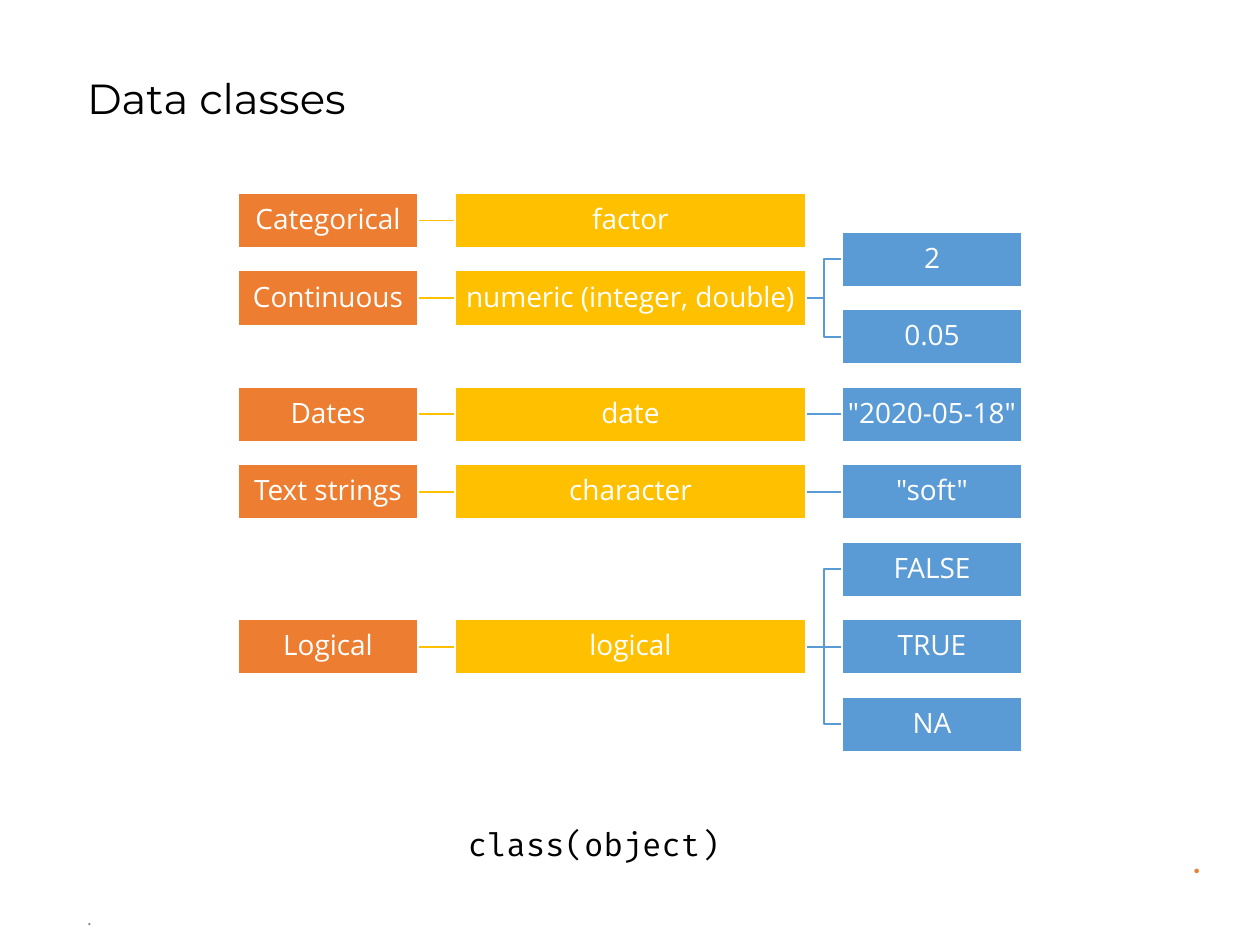
from lxml import etree
from pptx import Presentation
from pptx import util as u
from pptx.dml.color import RGBColor
from pptx.enum import shapes, text
from pptx.oxml.ns import qn

PX = u.Inches(1) / 126
COLORS = {"kind": "ED7D31", "class": "FFC000", "example": "5B9BD5",
          "white": "FFFFFF", "black": "000000", "grey": "808080"}

TITLE = "Data classes"
CLASSES = [
    ("Categorical", "factor", []),
    ("Continuous", "numeric (integer, double)", ["2", "0.05"]),
    ("Dates", "date", ['"2020-05-18"']),
    ("Text strings", "character", ['"soft"']),
    ("Logical", "logical", ["FALSE", "TRUE", "NA"]),
]
# text, box (left, top, width, height), format
NOTES = [
    (".", (74, 902, 1138, 34), dict(size=10, font="Open Sans", color="grey")),
    (".", (805, 723, 407, 165), dict(
        size=24, font="Montserrat", color="kind", italic=True, spacing=0.9,
        align=text.PP_ALIGN.RIGHT, anchor=text.MSO_ANCHOR.BOTTOM, insets=(9, 5))),
    ("class(object)", (455, 819, 281, 50), dict(size=18, font="Fira Code", color="black")),
]
COLUMNS = {"kind": (238, 180), "class": (455, 351), "example": (842, 180)}  # left, width
TOP, BOX_HEIGHT, HALF_ROW = 193, 55, 38.75
LEFT_SITE, RIGHT_SITE = 1, 3


def emu(*lengths):
    return [u.Emu(round(length * PX)) for length in lengths]


def rgb(name):
    return RGBColor.from_string(COLORS[name])


def write(shape, words, size, font, color, italic=False, spacing=1.0,
          align=text.PP_ALIGN.LEFT, anchor=text.MSO_ANCHOR.TOP, insets=(13, 6)):
    frame = shape.text_frame
    frame.text = words
    across, down = emu(*insets)
    paragraph = frame.paragraphs[0]
    formats = [
        (frame, dict(word_wrap=True, auto_size=text.MSO_AUTO_SIZE.NONE,
                     vertical_anchor=anchor, margin_left=across, margin_right=across,
                     margin_top=down, margin_bottom=down)),
        (paragraph, dict(alignment=align, line_spacing=spacing)),
        (paragraph.runs[0].font, dict(size=u.Pt(size), name=font, italic=italic)),
    ]
    for target, values in formats:
        for name, value in values.items():
            setattr(target, name, value)
    paragraph.runs[0].font.color.rgb = rgb(color)


def add_box(slide, words, column, slot):
    left, width = COLUMNS[column]
    box = slide.shapes.add_shape(
        shapes.MSO_SHAPE.RECTANGLE, *emu(left, TOP + slot * HALF_ROW, width, BOX_HEIGHT))
    box.shadow.inherit = False
    box.fill.solid()
    box.fill.fore_color.rgb = rgb(column)
    box.line.color.rgb = rgb("white")
    box.line.width = u.Pt(1)
    write(box, words, 16, "Open Sans", "white", spacing=0.9,
          align=text.PP_ALIGN.CENTER, anchor=text.MSO_ANCHOR.MIDDLE, insets=(1, 1))
    return box


def join(slide, parent, child, color):
    """Glue a line between two boxes and send it behind them."""
    kind = (shapes.MSO_CONNECTOR.STRAIGHT if parent.top == child.top
            else shapes.MSO_CONNECTOR.ELBOW)
    line = slide.shapes.add_connector(kind, 0, 0, 0, 0)
    line.begin_connect(parent, RIGHT_SITE)
    line.end_connect(child, LEFT_SITE)
    line.line.color.rgb = rgb(color)
    line.line.width = u.Pt(1)
    etree.SubElement(line._element.spPr, qn("a:effectLst"))
    slide.shapes._spTree.insert(2, line._element)


def add_tree(slide):
    """Examples take every second slot; each class is centred on its examples."""
    next_slot = 1
    for kind, class_name, examples in CLASSES:
        slots = [next_slot + 2 * i for i in range(len(examples))]
        next_slot += 2 * len(examples)
        middle = sum(slots) / len(slots) if slots else next_slot - 1
        kind_box = add_box(slide, kind, "kind", middle)
        class_box = add_box(slide, class_name, "class", middle)
        join(slide, kind_box, class_box, "class")
        for example, slot in zip(examples, slots):
            join(slide, class_box, add_box(slide, example, "example", slot), "example")


def main():
    deck = Presentation()
    deck.slide_width, deck.slide_height = emu(1260, 945)
    slide = deck.slides.add_slide(deck.slide_layouts[5])

    title = slide.shapes.title
    title.left, title.top, title.width, title.height = emu(74, 72, 420, 168)
    write(title, TITLE, 24, "Montserrat", "black", spacing=0.9)

    add_tree(slide)
    for words, box, style in NOTES:
        write(slide.shapes.add_textbox(*emu(*box)), words, **style)
    deck.save("out.pptx")


if __name__ == "__main__":
    main()
